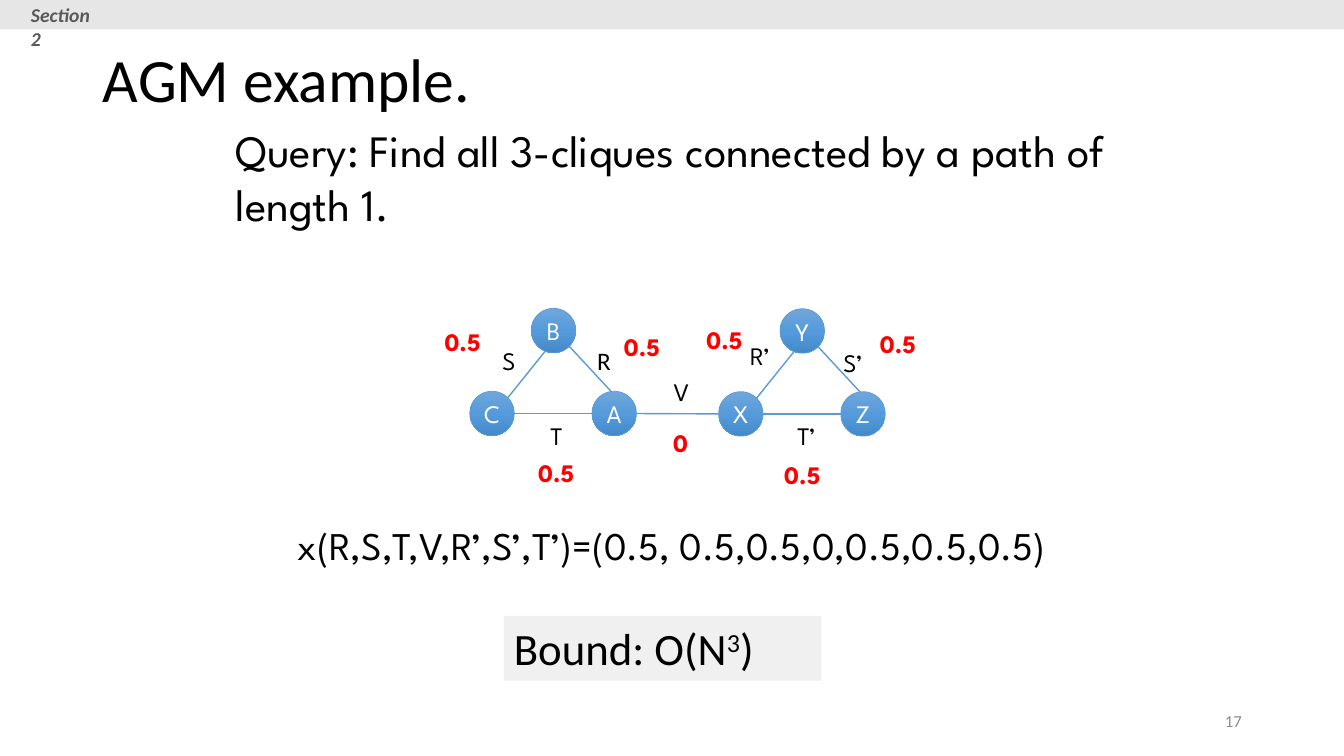
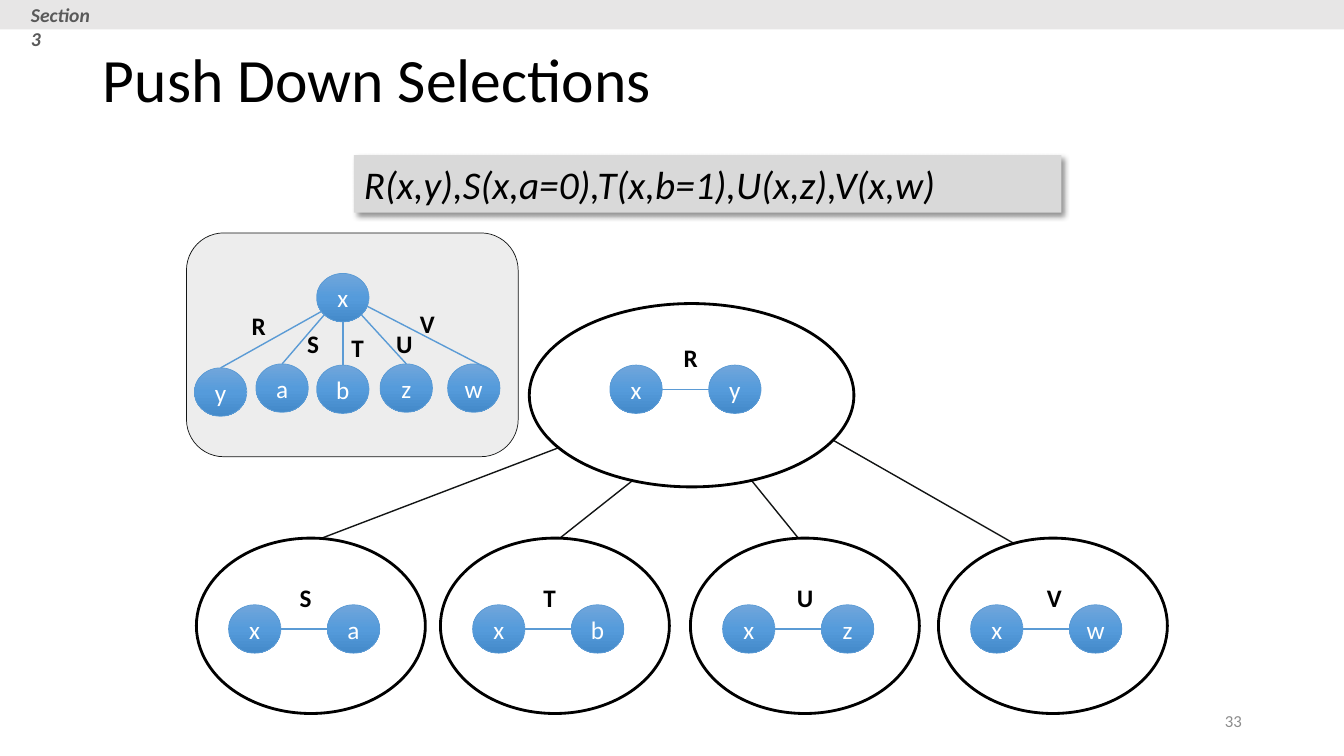
from copy import deepcopy
from math import cos, radians, sin

from lxml import etree
from pptx import Presentation
from pptx.dml.color import RGBColor
from pptx.enum.shapes import MSO_CONNECTOR, MSO_SHAPE
from pptx.enum.text import MSO_ANCHOR, PP_ALIGN
from pptx.oxml.ns import qn
from pptx.util import Cm, Pt

RECT, ROUND, OVAL = MSO_SHAPE.RECTANGLE, MSO_SHAPE.ROUNDED_RECTANGLE, MSO_SHAPE.OVAL
LINE = MSO_CONNECTOR.STRAIGHT
TOP, MIDDLE = MSO_ANCHOR.TOP, MSO_ANCHOR.MIDDLE
LEFT, CENTER, RIGHT = PP_ALIGN.LEFT, PP_ALIGN.CENTER, PP_ALIGN.RIGHT

SANS, ROUNDED = "Calibri", "League Spartan"
BLACK, WHITE, RED = "000000", "FFFFFF", "FF0000"
BLUE, INK, BAND = "5B9BD5", "131515", "E7E6E6"
SHADES = ("71A6DB", "559BDB", "448ACA")


def paint(color, value):
    color.rgb = RGBColor.from_string(value)


def write(frame, text, size, font=SANS, color=BLACK, bold=False, italic=False,
          align=LEFT, anchor=TOP, wrap=True):
    frame.word_wrap = wrap
    frame.vertical_anchor = anchor
    para = frame.paragraphs[0]
    para.alignment = align
    return add_run(para, text, size, font, color, bold, italic)


def add_run(para, text, size, font=SANS, color=BLACK, bold=False, italic=False):
    run = para.add_run()
    run.text = text
    run.font.size = Pt(size)
    run.font.name = font
    run.font.bold = bold
    run.font.italic = italic
    paint(run.font.color, color)
    return run


def add_text(slide, box, text, size, **style):
    frame = slide.shapes.add_textbox(*map(Cm, box)).text_frame
    write(frame, text, size, **style)


def add_form(slide, kind, box, fill, line=None, width=1):
    form = slide.shapes.add_shape(kind, *map(Cm, box))
    form.shadow.inherit = False
    form.fill.solid()
    paint(form.fill.fore_color, fill)
    if line:
        paint(form.line.color, line)
        form.line.width = Pt(width)
    else:
        form.line.fill.background()
    return form


def add_line(slide, start, end, color=BLUE):
    line = slide.shapes.add_connector(LINE, *map(Cm, (*start, *end)))
    paint(line.line.color, color)
    line.line.width = Pt(1)
    etree.SubElement(line.element.spPr, qn("a:effectLst"))


def add_node(slide, box, text, font=SANS):
    node = add_form(slide, OVAL, box, BLUE, BLUE, 0.5)
    node.fill.gradient()
    node.fill.gradient_angle = 270
    first = node.element.spPr.find(".//" + qn("a:gs"))
    mid = deepcopy(first)
    mid.set("pos", "50000")
    first.addnext(mid)
    for stop, shade in zip(node.fill.gradient_stops, SHADES):
        paint(stop.color, shade)
    frame = node.text_frame
    frame.margin_left = frame.margin_right = 0
    frame.margin_top = frame.margin_bottom = 0
    write(frame, text, 18, font, WHITE, align=CENTER, anchor=MIDDLE, wrap=False)


def rim(box, angle):
    x, y, w, h = box
    turn = radians(angle)
    return x + w / 2 * (1 + cos(turn)), y + h / 2 * (1 + sin(turn))


def join(slide, start, leave, end, reach):
    add_line(slide, rim(start, leave), rim(end, reach))


def add_label(slide, text, mid, top, font=SANS, color=BLACK, bold=False):
    add_text(slide, (mid - 0.89, top, 1.78, 1.02), text, 18, font=font,
             color=color, bold=bold, align=CENTER)


def add_frame(deck, title, section, number):
    slide = deck.slides.add_slide(deck.slide_layouts[5])
    add_form(slide, RECT, (0, 0, 33.87, 0.74), BAND)
    add_text(slide, (0.53, -0.05, 2.34, 0.86), section, 14, color="595959",
             bold=True, italic=True)
    add_text(slide, (23.93, 17.65, 7.62, 1.02), number, 12, color="8C8C8C",
             align=RIGHT, anchor=MIDDLE)
    head = slide.shapes.title
    head.left, head.top, head.width, head.height = map(Cm, (2.34, 0.23, 30.68, 3.68))
    write(head.text_frame, title, 44, anchor=MIDDLE)
    head.text_frame.paragraphs[0].line_spacing = 0.9
    return slide


def add_clique(slide, x, y, names, sides, weights):
    size = 1.12
    spots = ((0, 2.09), (1.55, 0), (3.08, 2.09))
    boxes = [(x + dx, y + dy, size, size) for dx, dy in spots]
    for box, name in zip(boxes, names):
        add_node(slide, box, name, ROUNDED)
    start, peak, end = boxes
    join(slide, start, -45, peak, 112)
    join(slide, end, -98, peak, 45)
    join(slide, start, 0, end, 180)
    for text, dx, dy, font in sides:
        add_label(slide, text, x + dx, y + dy, font)
    for dx, dy in weights:
        add_label(slide, "0.5", x + dx, y + dy, ROUNDED, RED, True)
    return start, end


def add_pair(slide, x, y, names, label, mid):
    left, right = [(x + dx, y, 1.32, 1.22) for dx in (0, 2.49)]
    for box, name in zip((left, right), names):
        add_node(slide, box, name)
    join(slide, left, 0, right, 180)
    add_label(slide, label, x + mid, y - 0.69, bold=True)


def add_bag(slide, box, inset, names, label, mid):
    add_form(slide, OVAL, box, WHITE, BLACK, 2)
    add_pair(slide, box[0] + inset[0], box[1] + inset[1], names, label, mid)


def add_star(slide, x, y):
    add_form(slide, ROUND, (x, y, 8.36, 5.64), "EDEDED", INK, 0.5)
    hub = (x + 3.28, y + 1.02, 1.32, 1.22)
    add_node(slide, hub, "x")
    leaves = (("y", 0.2, 3.4, 145, -90), ("a", 1.75, 3.3, 135, -90),
              ("b", 3.28, 3.33, 90, -90), ("z", 4.88, 3.3, 45, -90),
              ("w", 6.58, 3.3, 21, -45))
    for name, dx, dy, leave, reach in leaves:
        leaf = (x + dx, y + dy, 1.32, 1.22)
        add_node(slide, leaf, name)
        join(slide, hub, leave, leaf, reach)
    marks = (("R", 1.82, 1.83), ("S", 3.19, 2.29), ("T", 4.31, 2.39),
             ("U", 5.49, 2.29), ("V", 6.07, 1.78))
    for text, dx, dy in marks:
        add_label(slide, text, x + dx, y + dy, bold=True)


def add_query(slide, box):
    form = add_form(slide, RECT, box, "D9D9D9")
    write(form.text_frame, "R(x,y),S(x,a=0),T(x,b=1),U(x,z),V(x,w)", 28, italic=True)
    glow = form.element.spPr.find(qn("a:effectLst"))
    shade = etree.SubElement(glow, qn("a:outerShdw"), blurRad=str(Pt(4)),
                             dist=str(Pt(3)), dir="2700000", algn="tl", rotWithShape="0")
    tone = etree.SubElement(shade, qn("a:srgbClr"), val=BLACK)
    etree.SubElement(tone, qn("a:alpha"), val="43000")


def add_bound(slide, box):
    form = add_form(slide, RECT, box, "F1F0F0")
    write(form.text_frame, "Bound: O(N", 32)
    para = form.text_frame.paragraphs[0]
    power = add_run(para, "3", 32)
    power.font._element.set("baseline", "30000")
    add_run(para, ")", 32)


def build_agm(deck):
    slide = add_frame(deck, "AGM example.", "Section 2", "17")
    add_text(slide, (5.69, 2.97, 24.13, 3),
             "Query: Find all 3-cliques connected by a path of length 1.", 32, font=ROUNDED)
    first = add_clique(
        slide, 11.84, 7.77, "CBA",
        (("S", 0.99, 0.81, ROUNDED), ("R", 3.38, 0.81, SANS), ("T", 2.19, 2.69, ROUNDED)),
        ((-0.18, 0.33), (4.34, 0.46), (2.18, 3.63)))
    second = add_clique(
        slide, 18.11, 7.78, "XYZ",
        (("R’", 1.04, 0.66, ROUNDED), ("S’", 3.38, 0.84, ROUNDED),
         ("T’", 2.21, 2.69, ROUNDED)),
        ((0.15, 0.28), (4.52, 0.36), (2.11, 3.66)))
    join(slide, first[1], 0, second[0], 180)
    add_label(slide, "V", 17.17, 9.35, ROUNDED)
    add_label(slide, "0", 17.15, 10.64, ROUNDED, RED, True)
    add_text(slide, (7.26, 13, 22.02, 1.45),
             "x(R,S,T,V,R’,S’,T’)=(0.5, 0.5,0.5,0,0.5,0.5,0.5)", 28, font=ROUNDED)
    add_bound(slide, (12.7, 15.52, 8, 1.63))


def build_push(deck):
    slide = add_frame(deck, "Push Down Selections", "Section 3", "33")
    add_query(slide, (8.92, 3.91, 17.83, 1.45))
    add_star(slide, 4.7, 5.87)
    links = (((7.9, 13.64), (15.21, 10.85)), ((13.97, 13.67), (16.13, 11.96)),
             ((20.37, 13.87), (18.82, 11.96)), ((25.86, 13.87), (20.57, 10.85)))
    for start, end in links:
        add_line(slide, start, end, INK)
    add_bag(slide, (13.34, 7.65, 8.18, 4.62), (2.03, 1.55), "xy", "R", 2.04)
    bags = ((4.95, "xa", "S", 1.94), (11.1, "xb", "T", 1.94),
            (17.4, "xz", "U", 2.08), (23.65, "xw", "V", 2.11))
    for x, names, label, mid in bags:
        add_bag(slide, (x, 13.56, 5.77, 4.42), (0.81, 1.68), names, label, mid)


def main():
    deck = Presentation()
    deck.slide_width, deck.slide_height = Cm(33.87), Cm(19.05)
    build_agm(deck)
    build_push(deck)
    deck.save("out.pptx")


if __name__ == "__main__":
    main()
